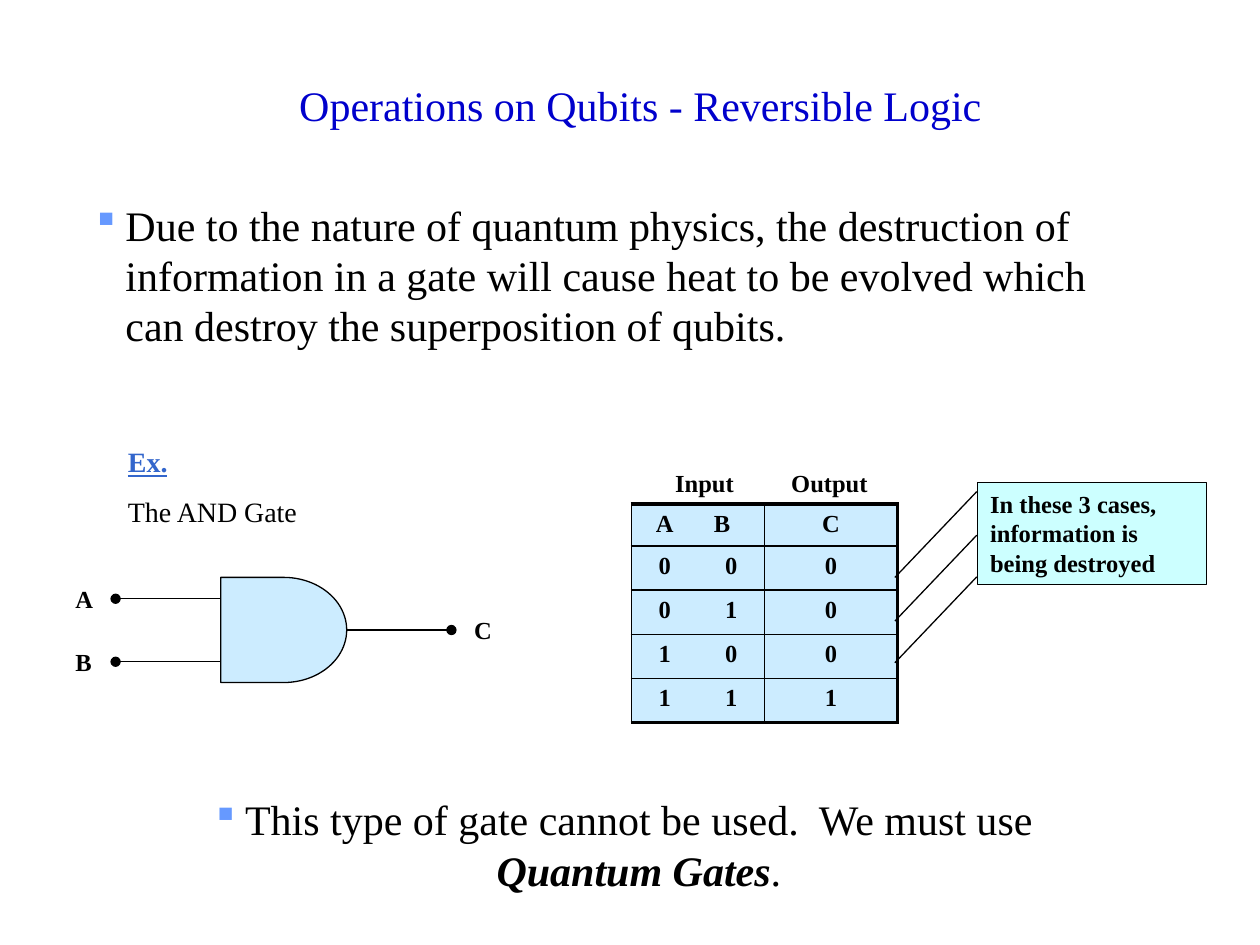
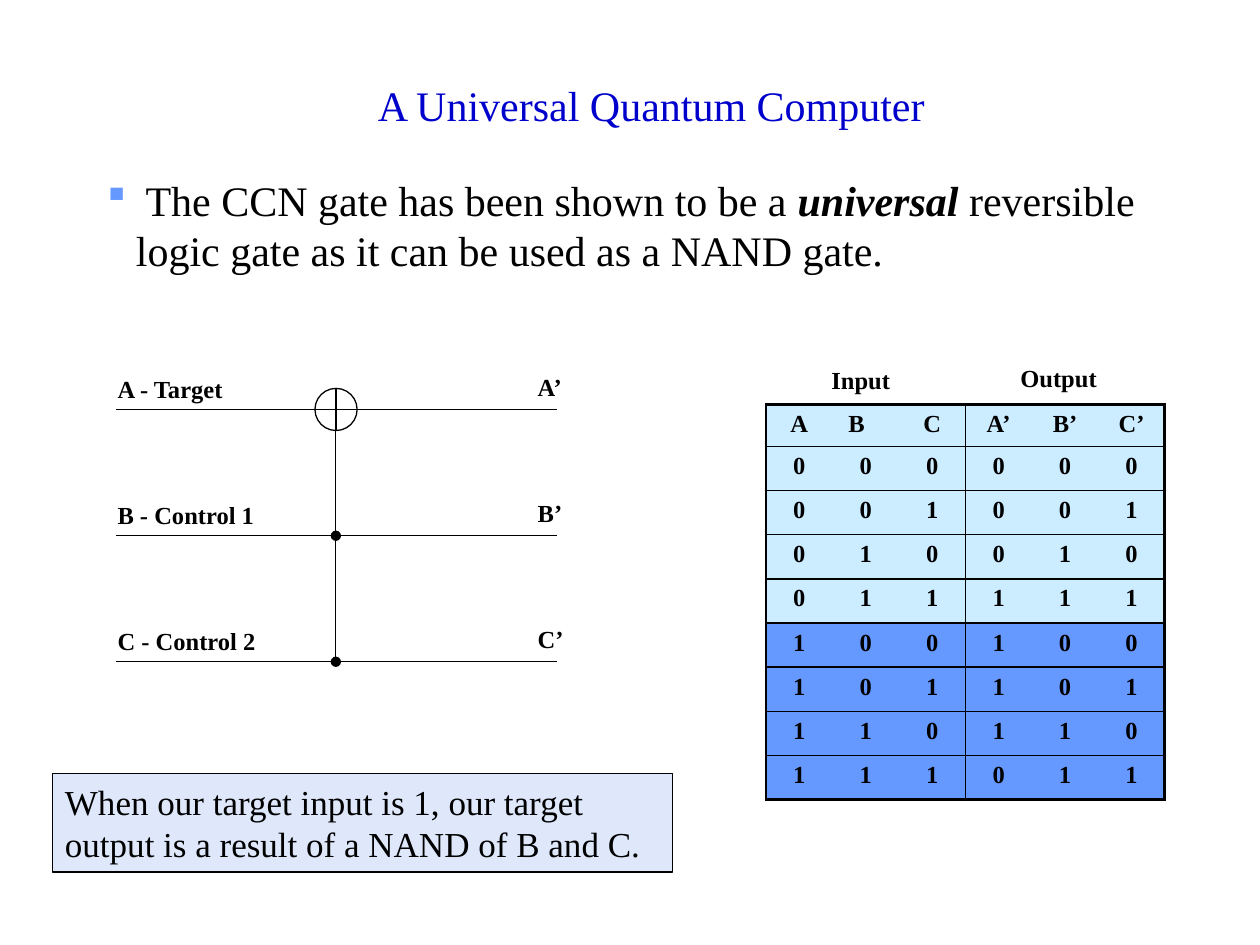
from itertools import product

from lxml import etree
from pptx import Presentation
from pptx.dml.color import RGBColor
from pptx.enum.shapes import MSO_CONNECTOR as LineKind, MSO_SHAPE as Preset
from pptx.enum.text import MSO_ANCHOR as Anchor, PP_ALIGN as Align
from pptx.oxml.ns import qn
from pptx.util import Cm, Pt

COLORS = {
    "ink": "000000",
    "title": "0000CC",
    "example": "3366CC",
    "bullet": "6699FF",
    "pale": "CCECFF",
    "strong": "6699FF",
    "callout": "CCFFFF",
    "summary": "DEE8FA",
}
FONT = "Times New Roman"
HAIRLINE, THIN, THICK = 0.75, 1, 2.25
LABEL = {"size": 14, "bold": True}
LABEL_HEIGHT = 0.85
INDENT = 0.58
HEADER_HEIGHT, ROW_HEIGHT, COLUMN = 0.84, 0.89, 1.34
CELL_MARGIN, HEADER_B_MARGIN = 0.25, 0.62


def rgb(name):
    return RGBColor.from_string(COLORS[name])


def write(paragraph, text, size=24, color="ink", bold=False, italic=False,
          underline=False, align=Align.LEFT):
    """Append one formatted run to the paragraph."""
    paragraph.alignment = align
    run = paragraph.add_run()
    run.text = text
    font = run.font
    font.name, font.size = FONT, Pt(size)
    font.bold, font.italic, font.underline = bold, italic, underline
    font.color.rgb = rgb(color)


def add_bullet(paragraph):
    props = paragraph._p.get_or_add_pPr()
    props.set("marL", str(Cm(INDENT)))
    props.set("indent", str(-Cm(INDENT)))
    color = etree.SubElement(props, qn("a:buClr"))
    etree.SubElement(color, qn("a:srgbClr"), val=COLORS["bullet"])
    etree.SubElement(props, qn("a:buFont"), typeface="Wingdings")
    etree.SubElement(props, qn("a:buChar"), char="§")


def set_borders(cell, **widths):
    """Draw the given sides (L, R, T, B); a width of 0 means no line."""
    props = cell._tc.get_or_add_tcPr()
    for place, side in enumerate("LRTB"):
        width = widths[side]
        line = etree.Element(qn(f"a:ln{side}"), w=str(Pt(width)))
        if width:
            fill = etree.SubElement(line, qn("a:solidFill"))
            etree.SubElement(fill, qn("a:srgbClr"), val=COLORS["ink"])
        else:
            etree.SubElement(line, qn("a:noFill"))
        props.insert(place, line)


class Deck:
    def __init__(self):
        self.show = Presentation()
        self.show.slide_width, self.show.slide_height = Cm(25.4), Cm(19.05)
        self.shapes = None

    def new_slide(self, title, left):
        self.shapes = self.show.slides.add_slide(self.show.slide_layouts[6]).shapes
        heading = self.text(left, 1.48, 22.86, 1.27)
        heading._parent.vertical_anchor = Anchor.MIDDLE
        write(heading, title, color="title", align=Align.CENTER)

    def text(self, left, top, width, height):
        """Add a text box and return its first paragraph."""
        frame = self.shapes.add_textbox(
            Cm(left), Cm(top), Cm(width), Cm(height)).text_frame
        frame.word_wrap = True
        return frame.paragraphs[0]

    def label(self, text, left, top, width):
        write(self.text(left, top, width, LABEL_HEIGHT), text, **LABEL)

    def bullet(self, left, top, width, height, *runs, align=Align.LEFT):
        """Each run is plain text, or a tuple holding text to emphasise."""
        point = self.text(left, top, width, height)
        add_bullet(point)
        for run in runs:
            strong = isinstance(run, tuple)
            write(point, run[0] if strong else run,
                  bold=strong, italic=strong, align=align)

    def shape(self, preset, left, top, width, height, fill=None):
        shape = self.shapes.add_shape(
            preset, Cm(left), Cm(top), Cm(width), Cm(height))
        shape.shadow.inherit = False
        if fill:
            shape.fill.solid()
            shape.fill.fore_color.rgb = rgb(fill)
        else:
            shape.fill.background()
        shape.line.color.rgb = rgb("ink")
        shape.line.width = Pt(HAIRLINE)
        return shape

    def box(self, text, left, top, width, height, fill, **style):
        frame = self.shape(Preset.RECTANGLE, left, top, width, height, fill).text_frame
        frame.word_wrap = True
        frame.vertical_anchor = Anchor.TOP
        write(frame.paragraphs[0], text, **style)

    def wire(self, x1, y1, x2, y2, dot=False):
        """Draw a line, with a round dot at its end if asked."""
        wire = self.shapes.add_connector(
            LineKind.STRAIGHT, Cm(x1), Cm(y1), Cm(x2), Cm(y2))
        wire.line.color.rgb = rgb("ink")
        wire.line.width = Pt(HAIRLINE)
        if dot:
            etree.SubElement(wire.line._get_or_add_ln(), qn("a:tailEnd"), type="oval")
        etree.SubElement(wire._element.spPr, qn("a:effectLst"))

    def truth_table(self, left, top, header, rows, inputs, widths, strong_from=None):
        """Rows from index strong_from on get the stronger fill."""
        lines = [header, *rows]
        height = HEADER_HEIGHT + ROW_HEIGHT * len(rows)
        table = self.shapes.add_table(
            len(lines), len(header), Cm(left), Cm(top),
            Cm(sum(widths)), Cm(height)).table
        table.first_row = table.horz_banding = False
        for column, width in zip(table.columns, widths):
            column.width = Cm(width)
        last_row, last_col = len(lines) - 1, len(header) - 1
        for r, line in enumerate(lines):
            table.rows[r].height = Cm(ROW_HEIGHT if r else HEADER_HEIGHT)
            strong = strong_from is not None and r > strong_from
            for c, value in enumerate(line):
                cell = table.cell(r, c)
                shifted = value == "B"
                cell.margin_right = Cm(HEADER_B_MARGIN if shifted else CELL_MARGIN)
                write(cell.text_frame.paragraphs[0], str(value),
                      align=Align.CENTER, **LABEL)
                cell.fill.solid()
                cell.fill.fore_color.rgb = rgb("strong" if strong else "pale")
                set_borders(
                    cell,
                    L=THIN if c in (0, inputs) else 0,
                    R=THICK if c == last_col else THIN if c == inputs - 1 else 0,
                    T=THIN if r else THICK,
                    B=THICK if r == last_row else THIN)


def reversible_logic(deck):
    deck.new_slide("Operations on Qubits - Reversible Logic", 1.48)
    deck.bullet(1.7, 3.89, 21.39, 3.3,
                "Due to the nature of quantum physics, the destruction of "
                "information in a gate will cause heat to be evolved which "
                "can destroy the superposition of qubits.")

    example = deck.text(2.33, 8.84, 4.24, 1.96)
    write(example, "Ex.", size=16, color="example", bold=True, underline=True)
    gate_name = example._parent.add_paragraph()
    gate_name.space_before = Pt(9)
    write(gate_name, "The AND Gate", size=16)

    deck.shape(Preset.FLOWCHART_DELAY, 4.45, 11.64, 2.54, 2.12, "pale")
    for name, y in (("A", 12.07), ("B", 13.34)):
        deck.wire(4.45, y, 2.33, y, dot=True)
        deck.label(name, 1.27, y - 0.43, 0.85)
    deck.wire(6.99, 12.7, 9.1, 12.7, dot=True)
    deck.label("C", 9.31, 12.27, 0.85)

    deck.truth_table(12.73, 10.16, ["A", "B", "C"],
                     [(a, b, a & b) for a, b in product((0, 1), repeat=2)],
                     inputs=2, widths=[COLUMN, COLUMN, 2 * COLUMN])
    deck.label("Input", 13.36, 9.31, 1.85)
    deck.label("Output", 15.7, 9.31, 2.33)

    for y in (11.64, 12.52, 13.36):
        deck.wire(18.04, y, 19.69, y - 1.73)
    deck.box("In these 3 cases, information is being destroyed",
             19.71, 9.73, 4.62, 2.06, "callout", **LABEL)
    deck.bullet(2.75, 15.88, 19.68, 2.28,
                "This type of gate cannot be used.  We must use ",
                ("Quantum Gates",), ".", align=Align.CENTER)


def universal_computer(deck):
    deck.new_slide("A Universal Quantum Computer", 1.7)
    deck.bullet(1.91, 3.39, 21.59, 2.28,
                " The CCN gate has been shown to be a ", ("universal ",),
                "reversible logic gate as it can be used as a NAND gate.")

    deck.shape(Preset.FLOWCHART_OR, 6.35, 7.83, 0.85, 0.85)
    first, gap, control_x = 8.26, 2.54, 6.77
    for i, (name, role) in enumerate(
            (("A", "Target"), ("B", "Control 1"), ("C", "Control 2"))):
        y = first + gap * i
        deck.wire(2.33, y, 11.22, y)
        deck.label(f"{name} - {role}", 2.12, y - 0.84, 3.4)
        deck.label(f"{name}’", 10.59, y - 0.89, 1.32)
        if i:
            start = y - gap if i > 1 else 8.68
            deck.wire(control_x, start, control_x, y, dot=True)

    deck.truth_table(15.44, 8.15, ["A", "B", "C", "A’", "B’", "C’"],
                     [(a, b, c, a ^ (b & c), b, c)
                      for a, b, c in product((0, 1), repeat=3)],
                     inputs=3, widths=[COLUMN] * 6, strong_from=4)
    deck.label("Input", 16.51, 7.24, 1.85)
    deck.label("Output", 20.32, 7.19, 2.33)
    deck.box("When our target input is 1, our target output is a result "
             "of a NAND of B and C.", 1.06, 15.6, 12.5, 1.98, "summary", size=20)


def main():
    deck = Deck()
    reversible_logic(deck)
    universal_computer(deck)
    deck.show.save("out.pptx")


if __name__ == "__main__":
    main()
